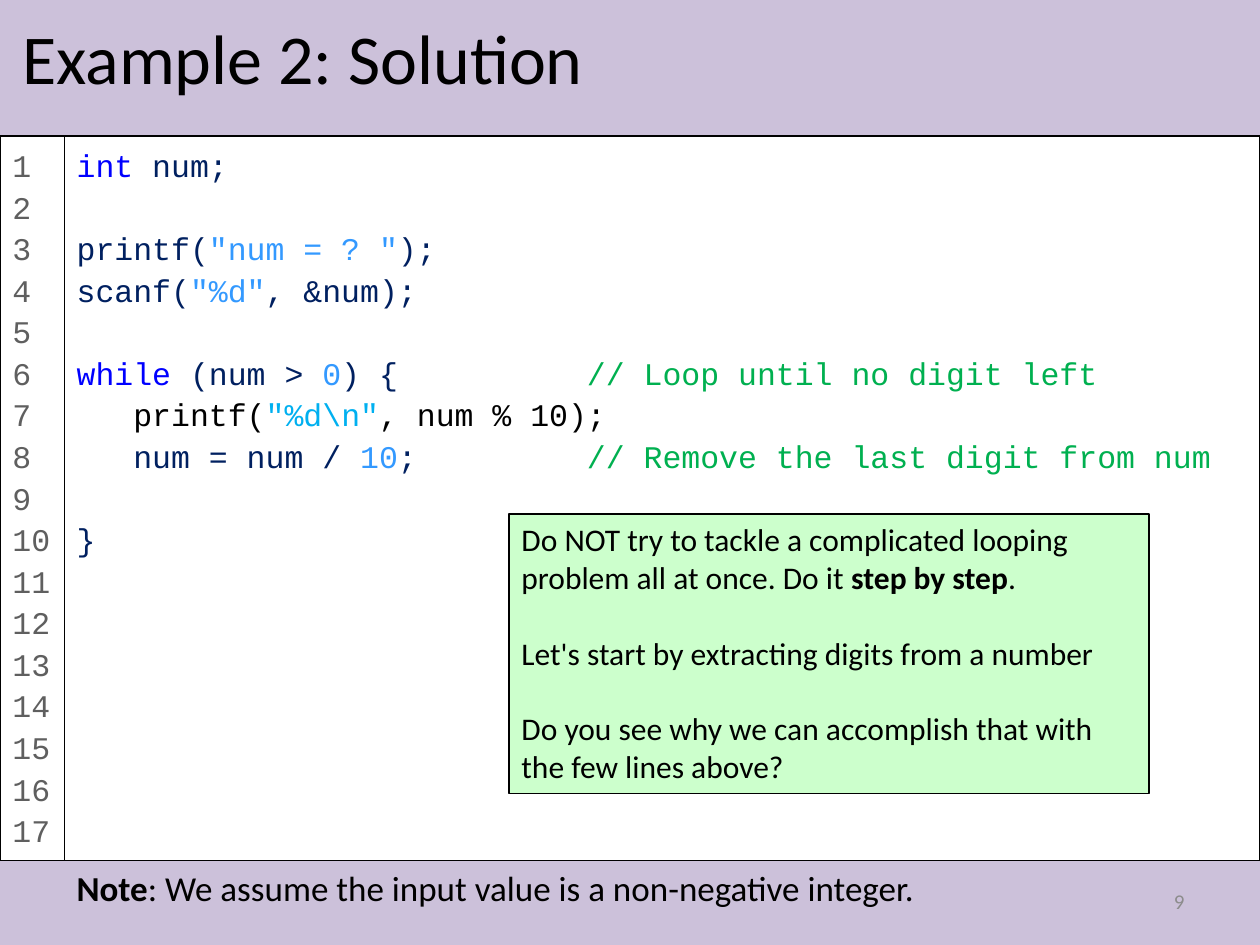
from dataclasses import dataclass

from lxml import etree
from pptx import Presentation
from pptx import util as u
from pptx.dml.color import RGBColor
from pptx.enum import shapes, text
from pptx.oxml.ns import qn


@dataclass(frozen=True)
class Theme:
    band: str = "CCC1DA"
    paper: str = "FFFFFF"
    callout: str = "CCFFCC"
    ink: str = "000000"
    code: str = "002060"
    keyword: str = "0000FF"
    literal: str = "3399FF"
    escape: str = "00B0F0"
    comment: str = "00B050"
    gutter: str = "5F5F5F"
    page_number: str = "8C8C8C"
    sans: str = "Calibri"
    mono: str = "Courier New"
    title_size: int = 40
    note_size: int = 20
    body_size: int = 18
    small_size: int = 12
    border: float = 0.75
    code_spacing: float = 1.1
    code_gap: float = 23.76
    body_gap: float = 21.6


THEME = Theme()
WIDTH, HEIGHT = 10, 7.5
HEADER, FOOTER, GUTTER = 1.08, 0.67, 0.51
CODE_HEIGHT = HEIGHT - HEADER - FOOTER
COMMENT_COLUMN = 27
CHARACTER_WIDTH = 0.15
LINE_COUNT = 17

CODE = [
    (0, [("int ", THEME.keyword), ("num;", THEME.code)]),
    (1, [("printf(", THEME.code), ('"num = ? "', THEME.literal), (");", THEME.code)]),
    (0, [("scanf(", THEME.code), ('"%d"', THEME.literal), (", &num);", THEME.code)]),
    (1, [("while ", THEME.keyword), ("(num > ", THEME.code), ("0", THEME.literal),
         (") {\t", THEME.code), ("// Loop until no digit left", THEME.comment)]),
    (0, [("   printf(", THEME.ink), ('"%d\\n"', THEME.escape), (", num % 10);", THEME.ink)]),
    (0, [("   num = num / ", THEME.code), ("10", THEME.literal), (";\t", THEME.code),
         ("// Remove the last digit from num", THEME.comment)]),
    (1, [("}", THEME.code)]),
]

ADVICE = [
    [("Do NOT try to tackle a complicated looping problem all at once. Do it ", False),
     ("step by step", True), (".", False)],
    [("Let's start by extracting digits from a number", False)],
    [("Do you see why we can accomplish that with the few lines above?", False)],
]


def color(value):
    return RGBColor.from_string(value)


def add_panel(page, area, fill=None, border=False):
    panel = page.shapes.add_shape(
        shapes.MSO_SHAPE.RECTANGLE, *[u.Inches(length) for length in area])
    panel.shadow.inherit = False
    if fill:
        panel.fill.solid()
        panel.fill.fore_color.rgb = color(fill)
    else:
        panel.fill.background()
    if border:
        panel.line.color.rgb = color(THEME.ink)
        panel.line.width = u.Pt(THEME.border)
    else:
        panel.line.fill.background()
    panel.text_frame.word_wrap = True
    panel.text_frame.vertical_anchor = text.MSO_ANCHOR.TOP
    return panel


def add_label(page, area, anchor=text.MSO_ANCHOR.TOP):
    box = page.shapes.add_textbox(*[u.Inches(length) for length in area])
    box.text_frame.word_wrap = True
    box.text_frame.vertical_anchor = anchor
    return box


def next_para(frame, index):
    return frame.add_paragraph() if index else frame.paragraphs[0]


def style_para(para, size, face=THEME.sans, ink=THEME.ink, align=text.PP_ALIGN.LEFT):
    para.alignment = align
    para.font.size = u.Pt(size)
    para.font.name = face
    para.font.color.rgb = color(ink)


def add_spans(para, parts):
    for words, bold in parts:
        span = para.add_run()
        span.text = words
        span.font.bold = bold


def add_tab_stop(para, position):
    tabs = etree.SubElement(para._p.get_or_add_pPr(), qn("a:tabLst"))
    etree.SubElement(tabs, qn("a:tab"), pos=str(u.Inches(position)), algn="l")


def draw_header(page, area):
    left, top, width, height = area
    add_panel(page, area, THEME.band)
    title = add_label(page, (left + 0.08, top + height / 6, width - 0.25, height / 2),
                      text.MSO_ANCHOR.MIDDLE)
    para = title.text_frame.paragraphs[0]
    para.text = "Example 2: Solution"
    style_para(para, THEME.title_size)


def draw_code(page, area):
    frame = add_panel(page, area, border=True).text_frame
    for index, (blank_lines, tokens) in enumerate(CODE):
        para = next_para(frame, index)
        para.line_spacing = THEME.code_spacing
        if blank_lines:
            para.space_before = u.Pt(blank_lines * THEME.code_gap)
        add_tab_stop(para, COMMENT_COLUMN * CHARACTER_WIDTH)
        style_para(para, THEME.body_size, THEME.mono, THEME.code)
        for words, ink in tokens:
            span = para.add_run()
            span.text = words
            span.font.color.rgb = color(ink)


def draw_line_numbers(page, area):
    frame = add_panel(page, area, THEME.paper, border=True).text_frame
    frame.margin_right = 0
    for index in range(LINE_COUNT):
        para = next_para(frame, index)
        para.text = str(index + 1)
        para.line_spacing = THEME.code_spacing
        style_para(para, THEME.body_size, THEME.mono, THEME.gutter)


def draw_advice(page, area):
    frame = add_panel(page, area, THEME.callout, border=True).text_frame
    for index, parts in enumerate(ADVICE):
        para = next_para(frame, index)
        if index:
            para.space_before = u.Pt(THEME.body_gap)
        style_para(para, THEME.body_size)
        add_spans(para, parts)


def draw_footer(page, area):
    left, top, width, height = area
    add_panel(page, area, THEME.band)
    note = add_label(page, (left + GUTTER, top, width * 0.83, height * 0.66))
    para = note.text_frame.paragraphs[0]
    style_para(para, THEME.note_size)
    add_spans(para, [("Note", True),
                     (": We assume the input value is a non-negative integer.", False)])
    number = add_label(page, (left + width * 0.72, top + 0.12, width * 0.23, height * 0.6),
                       text.MSO_ANCHOR.MIDDLE)
    para = number.text_frame.paragraphs[0]
    para.text = "9"
    style_para(para, THEME.small_size, ink=THEME.page_number, align=text.PP_ALIGN.RIGHT)


def main():
    deck = Presentation()
    deck.slide_width, deck.slide_height = u.Inches(WIDTH), u.Inches(HEIGHT)
    page = deck.slides.add_slide(deck.slide_layouts[6])
    draw_header(page, (0, 0, WIDTH, HEADER))
    draw_footer(page, (0, HEIGHT - FOOTER, WIDTH, FOOTER))
    draw_code(page, (GUTTER, HEADER, WIDTH - GUTTER, CODE_HEIGHT))
    draw_line_numbers(page, (0, HEADER, GUTTER, CODE_HEIGHT))
    draw_advice(page, (4.04, 4.08, 5.08, 2.22))
    deck.save("out.pptx")


if __name__ == "__main__":
    main()
